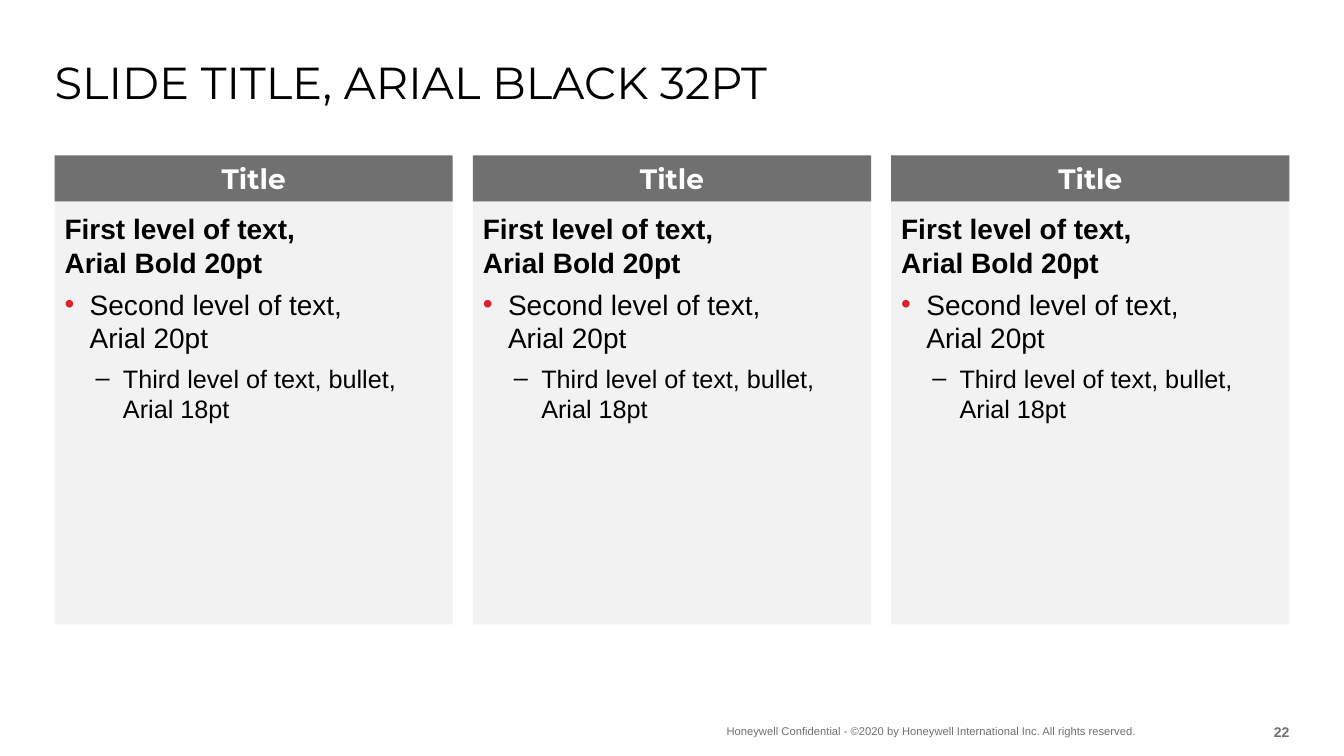
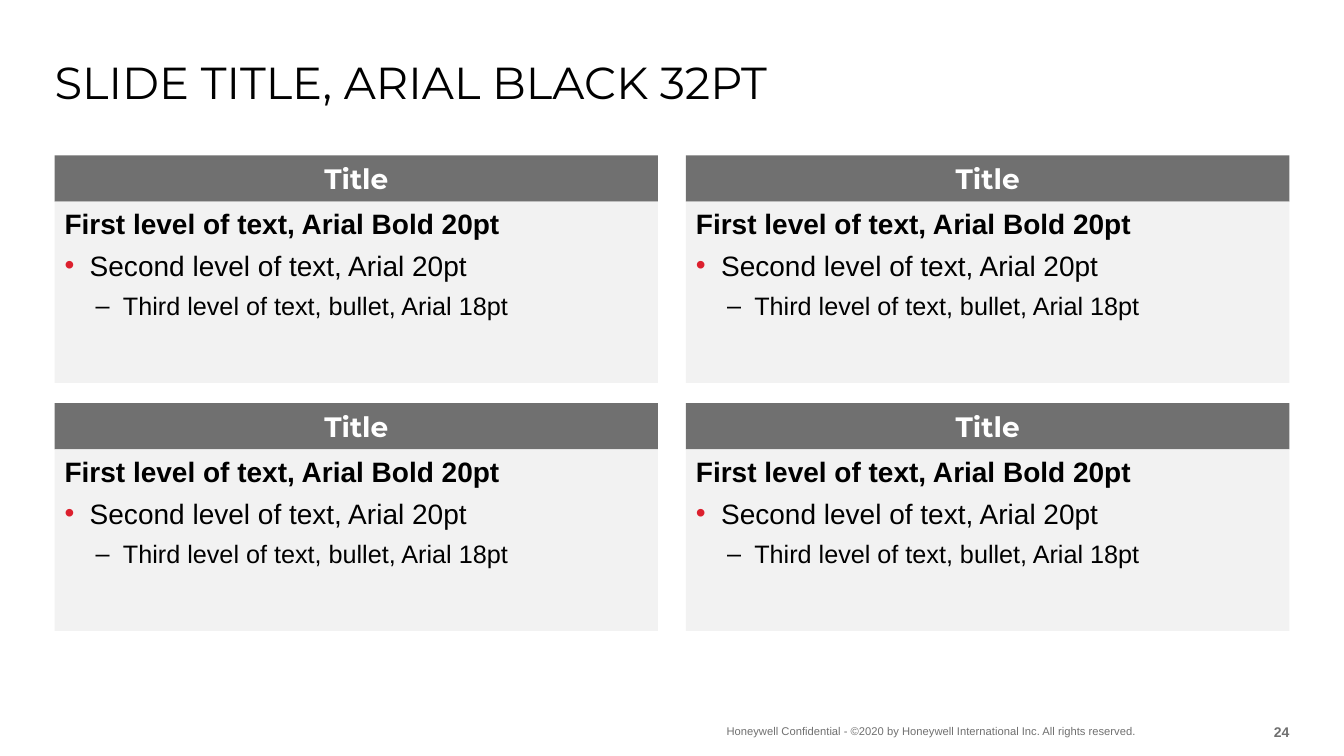
"""Build two slides of titled text panels, in three columns and in a grid."""
from itertools import product
from typing import Any, NamedTuple

from lxml.etree import SubElement
from pptx import Presentation
from pptx.dml.color import RGBColor
from pptx.enum.shapes import MSO_SHAPE as Shape
from pptx.enum.text import MSO_ANCHOR as Anchor, MSO_AUTO_SIZE as Fit, PP_ALIGN as Align
from pptx.oxml.ns import qn
from pptx.util import Pt

INK = {"black": "000000", "white": "FFFFFF", "gray": "707070",
       "pale": "F2F2F2", "red": "DC202E"}
HEAD_FONT, BODY_FONT = "Montserrat", "Arial"
LEFT, TOP, WIDTH, HEAD = 39, 111, 882, 33
TITLE = "SLIDE TITLE, ARIAL BLACK 32PT"
NOTICE = "Honeywell Confidential - ©2020 by Honeywell International Inc. All rights reserved."


class Box(NamedTuple):
    x: float
    y: float
    w: float
    h: float


class Level(NamedTuple):
    size: int = 20
    bold: bool = False
    mark: str = ""
    tint: str = "black"
    margin: float = 0
    hang: float = 0


class Page(NamedTuple):
    number: str
    cols: int
    rows: int
    gap: float
    height: float
    inset: float
    lines: tuple[str, ...]


LEVELS = (
    Level(bold=True),
    Level(mark="•", tint="red", margin=18, hang=18),
    Level(size=18, mark="‒", margin=41.75, hang=19.5),
)
ROW_GAP = 14.4
THIRD = "Third level of text, bullet, Arial 18pt"
PAGES = (
    Page("22", 3, 1, 14.4, 302, 7.2,
         ("First level of text, \vArial Bold 20pt",
          "Second level of text, \vArial 20pt", THIRD)),
    Page("24", 2, 2, 20, 129.6, 3.6,
         ("First level of text, Arial Bold 20pt",
          "Second level of text, Arial 20pt", THIRD)),
)


def color(name: str) -> RGBColor:
    """Look up a named colour."""
    return RGBColor.from_string(INK[name])


def write(para: Any, text: str, *, size: float, font: str = BODY_FONT,
          ink: str = "black", bold: bool = False, align: Any = Align.LEFT,
          after: float = 0) -> None:
    """Fill a paragraph with formatted text."""
    para.text = text
    para.alignment = align
    para.space_before, para.space_after = Pt(0), Pt(after)
    for run in para.runs:
        run.font.name, run.font.size, run.font.bold = font, Pt(size), bold
        run.font.color.rgb = color(ink)


def frame(shape: Any, *, anchor: Any = Anchor.TOP, side: float = 0,
          edge: float = 0) -> Any:
    """Set wrapping, anchor and insets of a text frame."""
    text = shape.text_frame
    text.word_wrap, text.auto_size = True, Fit.NONE
    text.vertical_anchor = anchor
    text.margin_left = text.margin_right = Pt(side)
    text.margin_top = text.margin_bottom = Pt(edge)
    return text


def label(slide: Any, box: Box, text: str, **style: Any) -> None:
    """Add a small text box anchored to its bottom."""
    shape = slide.shapes.add_textbox(*map(Pt, box))
    write(frame(shape, anchor=Anchor.BOTTOM).paragraphs[0], text,
          ink="gray", **style)


def block(slide: Any, box: Box, fill: str) -> Any:
    """Add a plain filled rectangle."""
    shape = slide.shapes.add_shape(Shape.RECTANGLE, *map(Pt, box))
    shape.shadow.inherit = False
    shape.fill.solid()
    shape.fill.fore_color.rgb = color(fill)
    shape.line.fill.background()
    return shape


def bullet(para: Any, level: Level) -> None:
    """Give a paragraph its indent and bullet."""
    props = para._p.get_or_add_pPr()
    props.set("marL", str(Pt(level.margin)))
    props.set("indent", str(-Pt(level.hang)))
    if level.mark:
        tint = SubElement(props, qn("a:buClr"))
        SubElement(tint, qn("a:srgbClr"), val=INK[level.tint])
        SubElement(props, qn("a:buFont"), typeface=BODY_FONT)
        SubElement(props, qn("a:buChar"), char=level.mark)


def panel(slide: Any, box: Box, page: Page) -> None:
    """Draw a header bar with the levelled text under it."""
    bar = block(slide, box._replace(h=HEAD), "gray")
    text = frame(bar, anchor=Anchor.MIDDLE, side=7.2, edge=3.6)
    write(text.paragraphs[0], "Title", size=20, font=HEAD_FONT, ink="white",
          bold=True, align=Align.CENTER)
    body = block(slide, box._replace(y=box.y + HEAD, h=box.h - HEAD), "pale")
    text = frame(body, side=7.2, edge=page.inset)
    for rank, (level, line) in enumerate(zip(LEVELS, page.lines)):
        para = text.add_paragraph() if rank else text.paragraphs[0]
        para.level = rank
        bullet(para, level)
        write(para, line, size=level.size, bold=level.bold, after=6)


def base(deck: Any, number: str) -> Any:
    """Add a slide with its title, notice and page number."""
    slide = deck.slides.add_slide(deck.slide_layouts[5])
    title = slide.shapes.title
    title.left, title.top, title.width, title.height = map(
        Pt, Box(LEFT, LEFT, WIDTH, HEAD))
    write(frame(title).paragraphs[0], TITLE, size=32, font=HEAD_FONT)
    label(slide, Box(519, 510, 324, 17), NOTICE, size=8)
    label(slide, Box(882, 510.5, 39, 18.5), number, size=10, bold=True,
          align=Align.RIGHT)
    return slide


def build(deck: Any, page: Page) -> None:
    """Lay out the panels of one page."""
    slide = base(deck, page.number)
    wide = (WIDTH - page.gap * (page.cols - 1)) / page.cols
    high = HEAD + page.height
    for row, col in product(range(page.rows), range(page.cols)):
        box = Box(LEFT + col * (wide + page.gap),
                  TOP + row * (high + ROW_GAP), wide, high)
        panel(slide, box, page)


def main() -> None:
    """Build and save the deck."""
    deck = Presentation()
    deck.slide_width, deck.slide_height = Pt(960), Pt(540)
    for page in PAGES:
        build(deck, page)
    deck.save("out.pptx")


if __name__ == "__main__":
    main()
